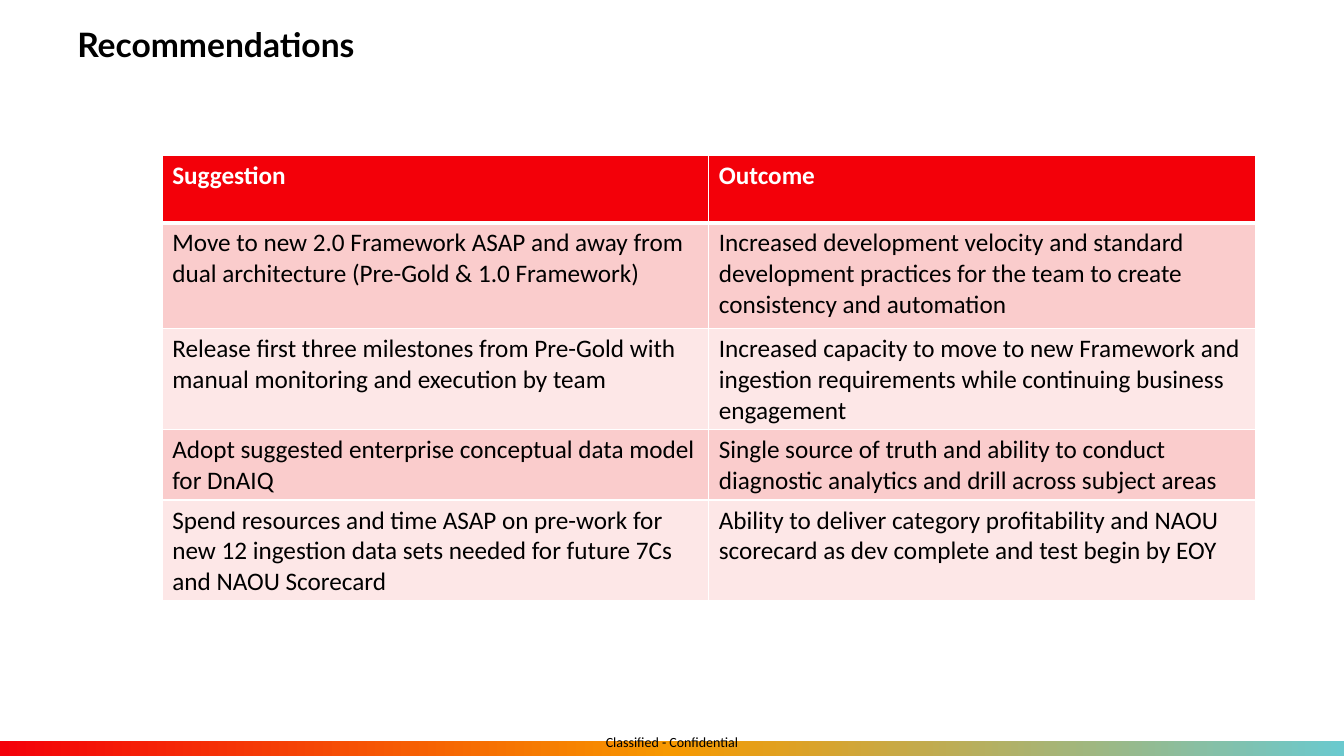
from lxml.etree import SubElement
from pptx import Presentation
from pptx.dml.color import RGBColor
from pptx.enum.shapes import MSO_SHAPE
from pptx.enum.text import MSO_ANCHOR as ANCHOR, PP_ALIGN as ALIGN
from pptx.oxml import parse_xml
from pptx.oxml.ns import nsdecls, qn
from pptx.util import Pt

COLORS = {
    "black": "000000", "white": "FFFFFF", "header": "F30009",
    "band_dark": "FACCCC", "band_light": "FDE7E7",
    "red": "F40009", "orange": "F79900", "teal": "6AC9CE",
}
SLIDE_WIDTH, SLIDE_HEIGHT = 960, 540
BAR_HEIGHT = 10.8
COLUMN_WIDTH = 390.4
ROW_HEIGHTS = [48.24, 75.6, 49, 49, 49]
ROWS = [
    ("Suggestion", "Outcome"),
    ("Move to new 2.0 Framework ASAP and away from dual architecture (Pre-Gold & 1.0 Framework)",
     "Increased development velocity and standard development practices for the team to create "
     "consistency and automation"),
    ("Release first three milestones from Pre-Gold with manual monitoring and execution by team",
     "Increased capacity to move to new Framework and ingestion requirements while continuing "
     "business engagement"),
    ("Adopt suggested enterprise conceptual data model for DnAIQ",
     "Single source of truth and ability to conduct diagnostic analytics and drill across "
     "subject areas"),
    ("Spend resources and time ASAP on pre-work for new 12 ingestion data sets needed for "
     "future 7Cs and NAOU Scorecard",
     "Ability to deliver category profitability and NAOU scorecard as dev complete and test "
     "begin by EOY"),
]


def write_text(text_frame, text, size=18, font="Calibri", color="black", bold=False,
               align=ALIGN.LEFT, spacing=None):
    """Put one formatted paragraph into a text frame."""
    text_frame.word_wrap = True
    paragraph = text_frame.paragraphs[0]
    paragraph.alignment = align
    paragraph.line_spacing = spacing
    run = paragraph.add_run()
    run.text = text
    run.font.size = Pt(size)
    run.font.name = font
    run.font.bold = bold
    run.font.color.rgb = RGBColor.from_string(COLORS[color])


def add_gradient_bar(slide):
    """Draw the three-colour strip along the bottom edge."""
    bar = slide.shapes.add_shape(MSO_SHAPE.RECTANGLE, 0, Pt(SLIDE_HEIGHT - BAR_HEIGHT),
                                 Pt(SLIDE_WIDTH), Pt(BAR_HEIGHT))
    bar.shadow.inherit = False
    bar.line.fill.background()
    stops = "".join(
        f'<a:gs pos="{position * 1000}"><a:srgbClr val="{COLORS[name]}"/></a:gs>'
        for position, name in ((0, "red"), (50, "orange"), (100, "teal")))
    gradient = parse_xml(f'<a:gradFill {nsdecls("a")} rotWithShape="1"><a:gsLst>{stops}</a:gsLst>'
                         '<a:lin ang="0" scaled="0"/></a:gradFill>')
    bar._element.spPr.find(qn("a:prstGeom")).addnext(gradient)


def add_classification(slide):
    """Add the centred confidentiality label over the strip."""
    label = slide.shapes.add_textbox(Pt(420.5), Pt(519.3), Pt(118.8), Pt(20.7))
    frame = label.text_frame
    frame.margin_left = frame.margin_right = frame.margin_top = frame.margin_bottom = 0
    frame.vertical_anchor = ANCHOR.MIDDLE
    write_text(frame, "Classified - Confidential", size=10, align=ALIGN.CENTER)


def set_title(slide, text):
    """Move and format the title placeholder."""
    title = slide.shapes.title
    title.left, title.top, title.width, title.height = Pt(48), Pt(9.4), Pt(864), Pt(48)
    title.text_frame.vertical_anchor = ANCHOR.MIDDLE
    write_text(title.text_frame, text, size=24, font="Lato", bold=True, spacing=0.9)


def set_borders(cell, bottom=1):
    """Give a cell white borders with widths in points."""
    properties = cell._tc.get_or_add_tcPr()
    for side, width in (("L", 1), ("R", 1), ("T", 1), ("B", bottom)):
        line = SubElement(properties, qn(f"a:ln{side}"), w=str(Pt(width)))
        fill = SubElement(line, qn("a:solidFill"))
        SubElement(fill, qn("a:srgbClr"), val=COLORS["white"])


def add_recommendations(slide):
    """Add the table of suggestions and outcomes."""
    frame = slide.shapes.add_table(len(ROWS), 2, Pt(115.9), Pt(110.9), Pt(2 * COLUMN_WIDTH),
                                   Pt(sum(ROW_HEIGHTS)))
    table = frame.table
    table.horz_banding = False
    for column in table.columns:
        column.width = Pt(COLUMN_WIDTH)
    for index, (texts, height) in enumerate(zip(ROWS, ROW_HEIGHTS)):
        table.rows[index].height = Pt(height)
        is_header = index == 0
        fill = "header" if is_header else ("band_light", "band_dark")[index % 2]
        for cell, text in zip(table.rows[index].cells, texts):
            set_borders(cell, bottom=3 if is_header else 1)
            cell.fill.solid()
            cell.fill.fore_color.rgb = RGBColor.from_string(COLORS[fill])
            write_text(cell.text_frame, text, bold=is_header,
                       color="white" if is_header else "black")


def main():
    """Build and save the recommendations slide."""
    presentation = Presentation()
    presentation.slide_width, presentation.slide_height = Pt(SLIDE_WIDTH), Pt(SLIDE_HEIGHT)
    slide = presentation.slides.add_slide(presentation.slide_layouts[5])
    add_gradient_bar(slide)
    add_classification(slide)
    add_recommendations(slide)
    set_title(slide, "Recommendations")
    presentation.save("out.pptx")


if __name__ == "__main__":
    main()
